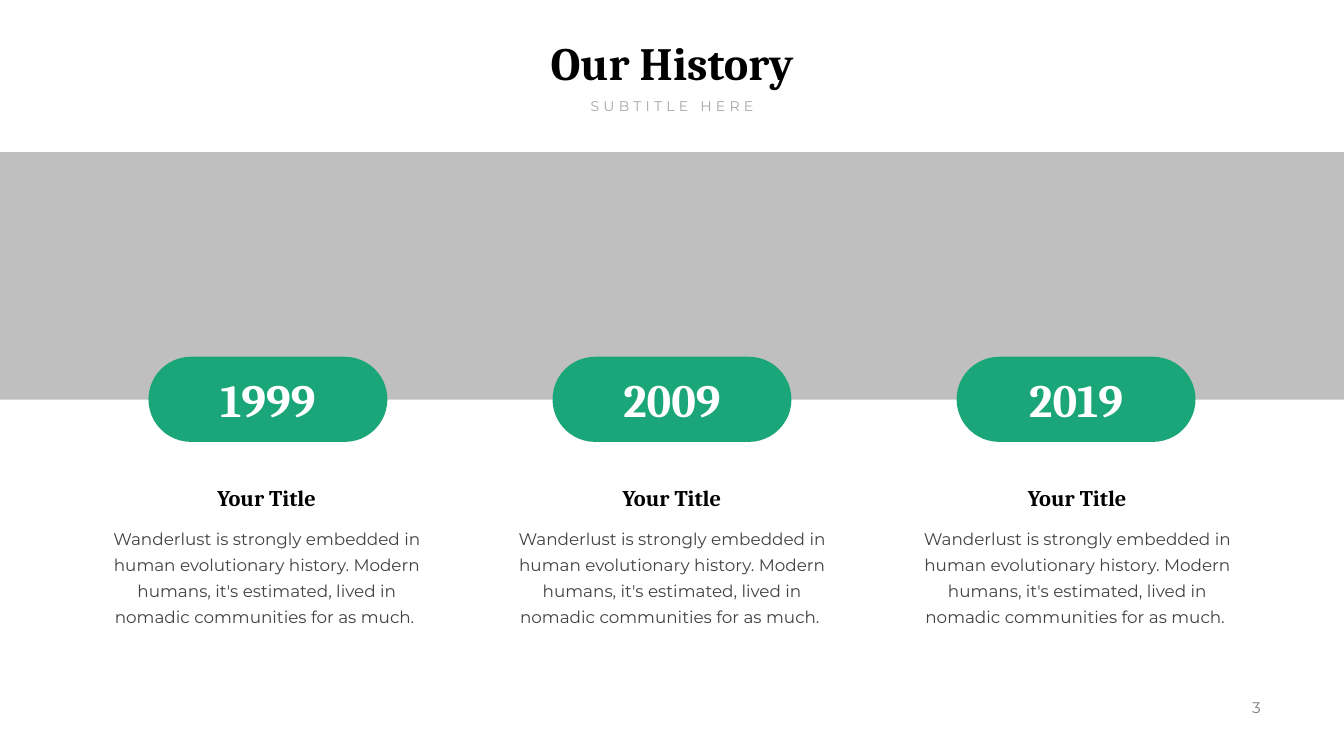
import dataclasses

import pptx
import pptx.chart.data
import pptx.dml.color
import pptx.enum.shapes
import pptx.enum.text
import pptx.oxml
import pptx.oxml.ns
import pptx.util

Cm = pptx.util.Cm
Pt = pptx.util.Pt
RGB = pptx.dml.color.RGBColor.from_string
Align = pptx.enum.text.PP_ALIGN
Anchor = pptx.enum.text.MSO_ANCHOR
Fit = pptx.enum.text.MSO_AUTO_SIZE
Shape = pptx.enum.shapes.MSO_SHAPE


@dataclasses.dataclass(frozen=True)
class Type:
    font: str
    size: int
    color: str
    bold: bool = False


@dataclasses.dataclass(frozen=True)
class Theme:
    green: str = "1AA678"
    black: str = "000000"
    title: Type = Type("Cambria", 66, "000000", True)
    sub: Type = Type("Montserrat", 20, "A6A6A6")
    year: Type = Type("Cambria", 66, "FFFFFF", True)
    head: Type = Type("Cambria", 32, "000000", True)
    body: Type = Type("Montserrat", 24, "424242")
    page: Type = Type("Montserrat", 22, "808080")


class Deck:
    """Draws on one slide; x is always the centre of an element, in cm."""

    def __init__(self, theme, slide):
        self.theme = theme
        self.slide = slide

    def shape(self, kind, x, top, width, height, color, alpha=None):
        shape = self.slide.shapes.add_shape(
            kind, Cm(x - width / 2), Cm(top), Cm(width), Cm(height))
        shape.shadow.inherit = False
        shape.fill.solid()
        shape.fill.fore_color.rgb = RGB(color)
        shape.line.fill.background()
        if alpha is not None:
            tone = shape._element.spPr.find(".//" + pptx.oxml.ns.qn("a:srgbClr"))
            pptx.oxml.ns  # namespace map used for the alpha child
            node = tone.makeelement(pptx.oxml.ns.qn("a:alpha"), {"val": str(alpha * 1000)})
            tone.append(node)
        return shape

    def pill(self, x, top, width, height):
        shape = self.shape(Shape.ROUNDED_RECTANGLE, x, top, width, height, self.theme.green)
        shape.adjustments[0] = 0.5

    def text(self, words, x, top, width, height, style, align=Align.CENTER,
             anchor=Anchor.TOP, wrap=False, inset=0.13, lead=None, track=None):
        box = self.slide.shapes.add_textbox(
            Cm(x - width / 2), Cm(top), Cm(width), Cm(height))
        frame = box.text_frame
        frame.word_wrap = wrap
        frame.auto_size = Fit.SHAPE_TO_FIT_TEXT
        frame.vertical_anchor = anchor
        frame.margin_top = frame.margin_bottom = Cm(inset)
        para = frame.paragraphs[0]
        para.alignment = align
        if lead:
            para.line_spacing = Pt(lead)
        run = para.add_run()
        run.text = words
        if track:
            run._r.get_or_add_rPr().set("spc", str(track * 100))
        font = para.font
        font.name = style.font
        font.size = Pt(style.size)
        font.bold = style.bold
        font.color.rgb = RGB(style.color)


WIDTH, HEIGHT = 67.72, 38.1
MID = WIDTH / 2
YEARS = ("1999", "2009", "2019")
STORY = ("Wanderlust is strongly embedded in human evolutionary history. "
         "Modern humans, it's estimated, lived in nomadic communities for as much. ")


def main():
    prs = pptx.Presentation()
    prs.slide_width, prs.slide_height = Cm(WIDTH), Cm(HEIGHT)
    theme = Theme()
    deck = Deck(theme, prs.slides.add_slide(prs.slide_layouts[6]))

    deck.text("3", 63.02, 35.05, 1.52, 1.19, theme.page, Align.RIGHT, Anchor.MIDDLE)
    deck.shape(Shape.RECTANGLE, MID, 7.67, WIDTH, 12.47, theme.black, alpha=25)
    deck.text("Our History", MID, 1.6, 13.64, 3.07, theme.title)
    deck.text("SUBTITLE HERE", MID, 4.78, 9.04, 1.12, theme.sub, track=6)

    for col, year in enumerate(YEARS, -1):
        x = MID + col * 20.36
        deck.pill(x, 17.98, 12.04, 4.29)
        deck.text(year, x, 18.59, 5.82, 3.07, theme.year, anchor=Anchor.MIDDLE)

        x = MID + col * 20.42
        deck.text("Your Title", x, 24.28, 5.97, 1.63, theme.head, anchor=Anchor.MIDDLE)
        deck.text(STORY, x, 26.26, 16.36, 5.41, theme.body,
                  wrap=True, inset=0.1, lead=37)

    prs.save("out.pptx")


if __name__ == "__main__":
    main()
